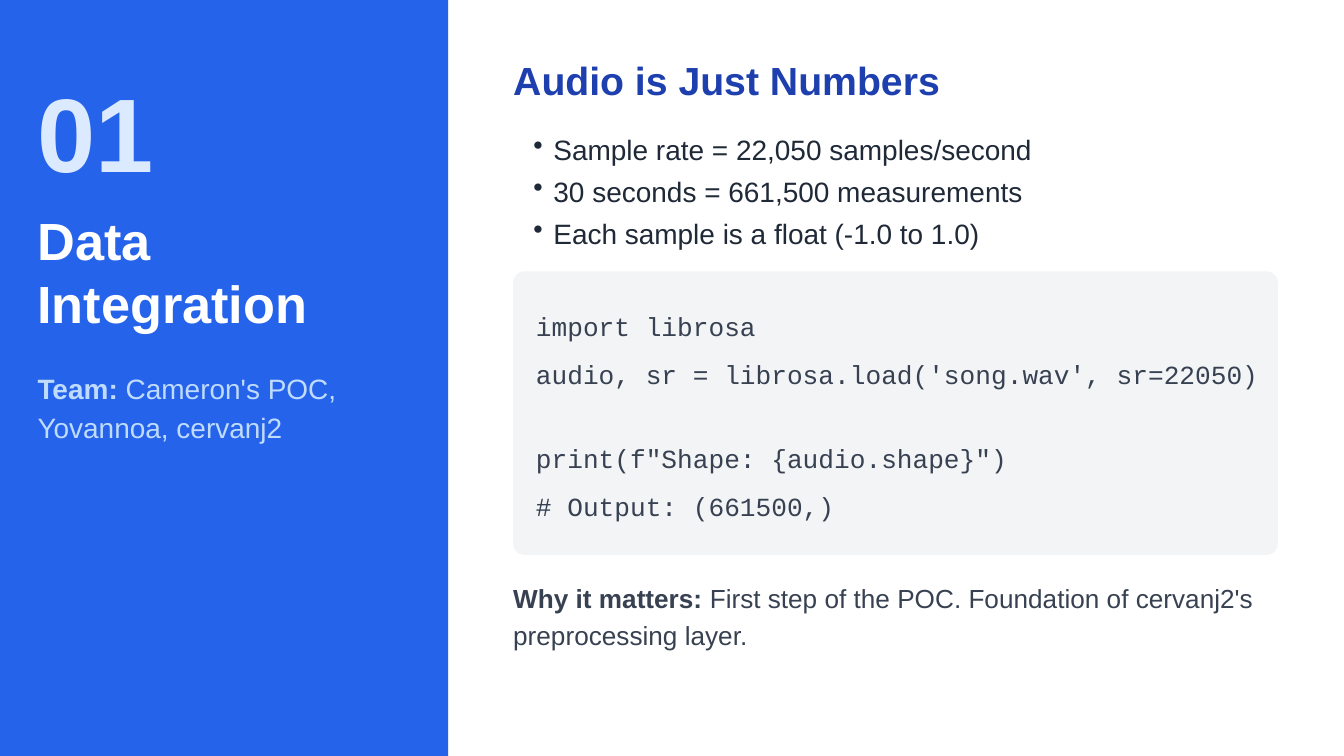
"""Build the section slide on data integration and audio samples."""
from dataclasses import dataclass

from lxml.etree import SubElement
from pptx import Presentation
from pptx.dml.color import RGBColor
from pptx.enum.shapes import MSO_SHAPE
from pptx.oxml.ns import qn
from pptx.util import Cm, Pt


@dataclass(frozen=True)
class TextStyle:
    size: float
    color: str
    bold: bool = False
    font: str = "Arial"
    line: float | None = None
    before: float = 0
    after: float = 0


@dataclass(frozen=True)
class Theme:
    panel: str = "2563EB"
    code_panel: str = "F3F4F6"
    number: TextStyle = TextStyle(56, "DBEAFE", True, line=78.4, after=8)
    section: TextStyle = TextStyle(28, "FFFFFF", True, after=12)
    team: TextStyle = TextStyle(15, "BFDBFE", line=21, before=20, after=6)
    heading: TextStyle = TextStyle(21, "1E40AF", True, after=12)
    bullet: TextStyle = TextStyle(15, "1F2937", line=22.5)
    code: TextStyle = TextStyle(14, "374151", font="Courier New", line=19.6, before=6, after=6)
    note: TextStyle = TextStyle(14, "374151", line=19.6, before=6, after=6)


THEME = Theme()
PANEL_LEFT, PANEL_WIDTH = 0.71, 7.19
CONTENT_LEFT, CONTENT_WIDTH, CARD_WIDTH = 9.7, 14.76, 14.45
CODE_LEFT, CODE_WIDTH, CODE_PITCH = 10.13, 13.89, 0.91
CODE_BLOCKS = (
    (5.77, ("import librosa", "audio, sr = librosa.load('song.wav', sr=22050)")),
    (8.26, ('print(f"Shape: {audio.shape}")', "# Output: (661500,)")),
)
BULLETS = (
    "Sample rate = 22,050 samples/second",
    "30 seconds = 661,500 measurements",
    "Each sample is a float (-1.0 to 1.0)",
)


def add_panel(page, kind, left, top, width, height, color):
    """Add a borderless filled shape."""
    panel = page.shapes.add_shape(kind, Cm(left), Cm(top), Cm(width), Cm(height))
    panel.shadow.inherit = False
    panel.fill.solid()
    panel.fill.fore_color.rgb = RGBColor.from_string(color)
    panel.line.fill.background()
    return panel


def add_frame(page, left, top, width, height):
    """Add a wrapping text box without insets and return its frame."""
    box = page.shapes.add_textbox(Cm(left), Cm(top), Cm(width), Cm(height))
    frame = box.text_frame
    frame.word_wrap = True
    frame.margin_left = frame.margin_top = frame.margin_right = frame.margin_bottom = 0
    return frame


def add_run(para, text, style, bold):
    """Append one formatted run."""
    span = para.add_run()
    span.text = text
    span.font.name = style.font
    span.font.size = Pt(style.size)
    span.font.bold = bold
    span.font.color.rgb = RGBColor.from_string(style.color)


def fill_paragraph(para, style, text, lead=""):
    """Set paragraph spacing and add an optional bold lead before the text."""
    para.space_before, para.space_after = Pt(style.before), Pt(style.after)
    if style.line:
        para.line_spacing = Pt(style.line)
    if lead:
        add_run(para, lead, style, True)
    add_run(para, text, style, style.bold)


def add_text(page, left, top, width, height, style, text, lead=""):
    """Add a text box holding a single paragraph."""
    frame = add_frame(page, left, top, width, height)
    fill_paragraph(frame.paragraphs[0], style, text, lead)


def add_bullets(page, left, top, width, height, style, items):
    """Add a bulleted list with a hanging indent."""
    frame = add_frame(page, left, top, width, height)
    indent = Cm(0.38)
    frame.margin_left = indent
    for index, item in enumerate(items):
        para = frame.add_paragraph() if index else frame.paragraphs[0]
        fill_paragraph(para, style, item)
        properties = para._p.get_or_add_pPr()
        properties.set("marL", str(indent))
        properties.set("indent", str(-indent))
        SubElement(properties, qn("a:buChar")).set("char", "•")


def add_code(page):
    """Add the code card and its lines."""
    card = add_panel(page, MSO_SHAPE.ROUNDED_RECTANGLE, CONTENT_LEFT, 5.13,
                     CARD_WIDTH, 5.36, THEME.code_panel)
    card.adjustments[0] = 0.04
    for block_top, lines in CODE_BLOCKS:
        for index, line in enumerate(lines):
            add_text(page, CODE_LEFT, block_top + index * CODE_PITCH,
                     CODE_WIDTH, 0.69, THEME.code, line)


def main():
    """Build and save the deck."""
    deck = Presentation()
    deck.slide_width, deck.slide_height = Cm(25.4), Cm(14.29)
    page = deck.slides.add_slide(deck.slide_layouts[6])

    add_panel(page, MSO_SHAPE.RECTANGLE, 0, 0, 8.47, 14.29, THEME.panel)
    add_text(page, PANEL_LEFT, 0.89, PANEL_WIDTH, 2.77, THEME.number, "01")
    add_text(page, PANEL_LEFT, 3.94, PANEL_WIDTH, 2.29, THEME.section, "Data Integration")
    add_text(page, PANEL_LEFT, 6.91, PANEL_WIDTH, 1.47, THEME.team,
             " Cameron's POC, Yovannoa, cervanj2", "Team:")

    add_text(page, CONTENT_LEFT, 1.07, CONTENT_WIDTH, 0.84, THEME.heading,
             "Audio is Just Numbers")
    add_bullets(page, CONTENT_LEFT, 2.34, CARD_WIDTH, 2.39, THEME.bullet, BULLETS)
    add_code(page)
    add_text(page, CONTENT_LEFT, 10.92, CONTENT_WIDTH, 1.37, THEME.note,
             " First step of the POC. Foundation of cervanj2's preprocessing layer.",
             "Why it matters:")
    deck.save("out.pptx")


if __name__ == "__main__":
    main()
